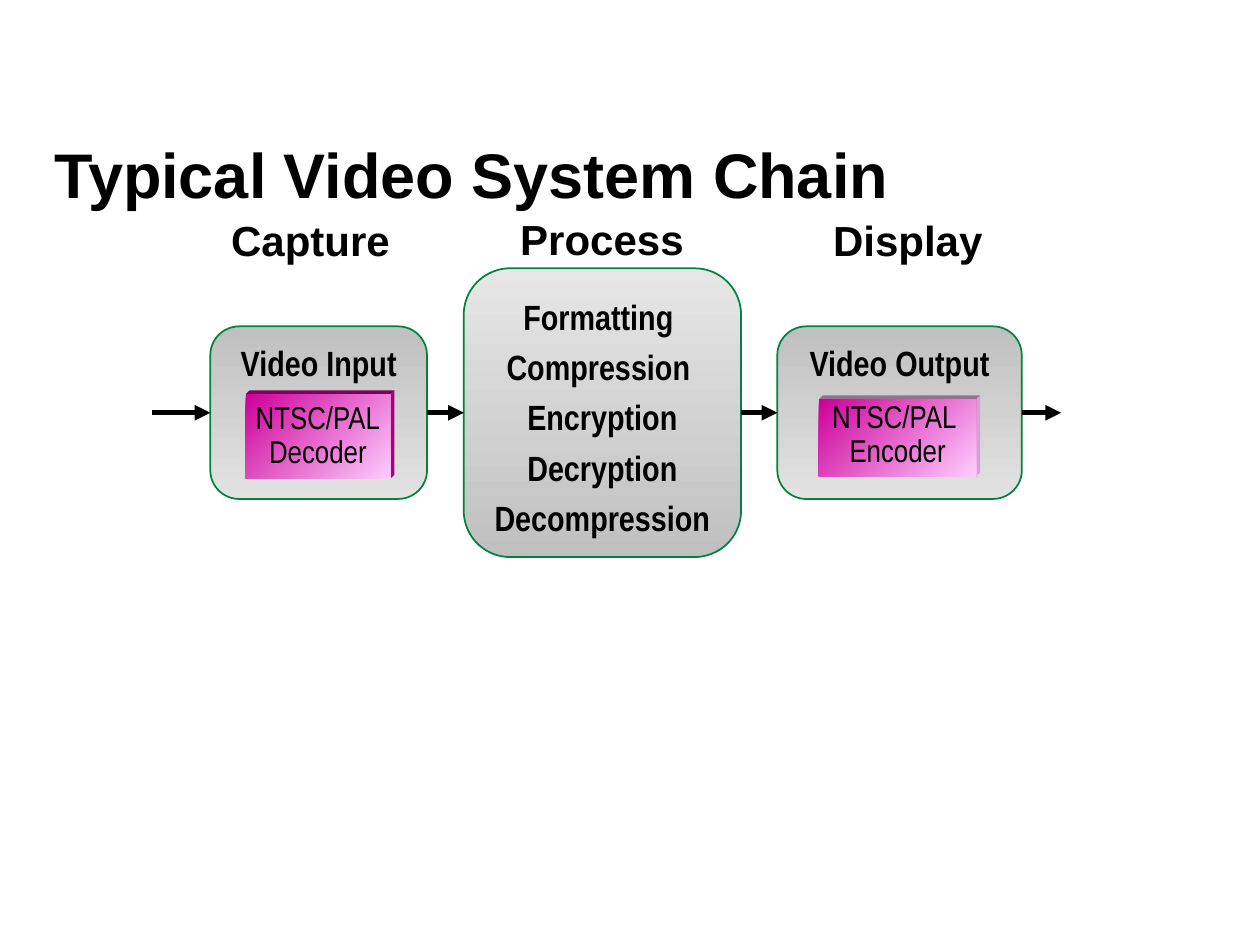
from lxml import etree
from pptx import Presentation
from pptx import util as u
from pptx.dml.color import RGBColor
from pptx.enum import shapes, text
from pptx.oxml.ns import qn

TITLE = "Typical Video System Chain"
HEADINGS = [
    ("Display", 14.81, 4.44, 6.98, 0.91, 0.9),
    ("Capture", 3.63, 4.44, 5.26, 0.91, 0.9),
    ("Process", 9.25, 4.5, 5.77, 0.81, 0.8),
]
TOP, MIDDLE = text.MSO_ANCHOR.TOP, text.MSO_ANCHOR.MIDDLE
STAGES = [
    {"left": 4.24, "width": 4.37, "height": 3.48, "colors": ("C0C0C0", "E2E2E2"),
     "paragraphs": [["Video Input"]], "anchor": TOP, "spacing": 1.0},
    {"left": 9.35, "width": 5.59, "height": 5.82, "colors": ("E6E6E6", "C0C0C0"),
     "paragraphs": [["Formatting ", "Compression ", "Encryption"], ["Decryption", "Decompression"]],
     "anchor": MIDDLE, "spacing": 1.2},
    {"left": 15.67, "width": 4.93, "height": 3.48, "colors": ("C0C0C0", "E2E2E2"),
     "paragraphs": [["Video Output"]], "anchor": TOP, "spacing": 1.0},
]
CODECS = [
    {"box": (4.95, 7.95, 2.92, 1.7), "paragraphs": [["NTSC/PAL"], ["Decoder"]],
     "anchor": MIDDLE, "edges": ("7A005C", "A8007E")},
    {"box": (16.51, 8.05, 3.17, 1.55), "paragraphs": [["NTSC/PAL ", "Encoder"]],
     "anchor": TOP, "edges": ("96708C", "D0A4D0")},
]
CENTER_Y = 8.32
CHAIN_START, CHAIN_END = 3.07, 21.39
EDGE_DEPTH = 0.08


def color(value):
    return RGBColor.from_string(value)


def write(frame, paragraphs, size, font, bold, spacing, anchor, inset=None):
    frame.vertical_anchor = anchor
    if inset is not None:
        frame.margin_left = frame.margin_right = u.Cm(inset)
        frame.margin_top = frame.margin_bottom = u.Cm(inset)
    for index, lines in enumerate(paragraphs):
        paragraph = frame.add_paragraph() if index else frame.paragraphs[0]
        paragraph.alignment = text.PP_ALIGN.CENTER
        paragraph.line_spacing = spacing
        for number, line in enumerate(lines):
            if number:
                paragraph.add_line_break()
            style(paragraph.add_run(), line, size, font, bold)


def style(run, line, size, font, bold):
    run.text = line
    run.font.size = u.Pt(size)
    run.font.name = font
    run.font.bold = bold
    run.font.color.rgb = color("000000")


def add_box(slide, kind, box, colors, angle):
    shape = slide.shapes.add_shape(kind, *map(u.Cm, box))
    shape.shadow.inherit = False
    shape.fill.gradient()
    shape.fill.gradient_angle = angle
    for stop, value, position in zip(shape.fill.gradient_stops, colors, (0, 1)):
        stop.color.rgb = color(value)
        stop.position = position
    shape.line.fill.background()
    return shape


def add_stage(slide, stage):
    box = (stage["left"], CENTER_Y - stage["height"] / 2, stage["width"], stage["height"])
    shape = add_box(slide, shapes.MSO_SHAPE.ROUNDED_RECTANGLE, box, stage["colors"], 270)
    shape.adjustments[0] = 0.167
    shape.line.color.rgb = color("008241")
    shape.line.width = u.Pt(1)
    shape.text_frame.word_wrap = False
    write(shape.text_frame, stage["paragraphs"], 20, "Arial Narrow", True,
          stage["spacing"], stage["anchor"])
    return shape


def add_edge(slide, points, value):
    corners = [(u.Cm(x), u.Cm(y)) for x, y in points]
    builder = slide.shapes.build_freeform(*corners[0])
    builder.add_line_segments(corners[1:], close=True)
    edge = builder.convert_to_shape()
    edge.shadow.inherit = False
    edge.fill.solid()
    edge.fill.fore_color.rgb = color(value)
    edge.line.fill.background()


def add_codec(slide, codec):
    left, top, width, height = codec["box"]
    right, bottom, depth = left + width, top + height, EDGE_DEPTH
    top_edge, right_edge = codec["edges"]
    outer_corner = (right + depth, top - depth)
    add_edge(slide, [(left, top), (left + depth, top - depth), outer_corner, (right, top)], top_edge)
    add_edge(slide, [(right, top), outer_corner, (right + depth, bottom - depth), (right, bottom)], right_edge)
    shape = add_box(slide, shapes.MSO_SHAPE.RECTANGLE, codec["box"], ("CC0099", "FFCCFF"), 315)
    shape.text_frame.word_wrap = True
    write(shape.text_frame, codec["paragraphs"], 18, "Arial Narrow", False, 0.9, codec["anchor"], 0.03)


def add_arrow(slide, source, target):
    start = u.Cm(CHAIN_START) if source is None else source.left + source.width
    end = u.Cm(CHAIN_END) if target is None else target.left
    y = u.Cm(CENTER_Y)
    arrow = slide.shapes.add_connector(shapes.MSO_CONNECTOR.STRAIGHT, start, y, end, y)
    if source is not None:
        arrow.begin_connect(source, 3)
    if target is not None:
        arrow.end_connect(target, 1)
    arrow.line.width = u.Pt(3)
    arrow.line.color.rgb = color("000000")
    etree.SubElement(arrow.line._get_or_add_ln(), qn("a:tailEnd"), type="triangle")
    etree.SubElement(arrow._element.spPr, qn("a:effectLst"))


def main():
    presentation = Presentation()
    presentation.slide_width, presentation.slide_height = u.Cm(25.4), u.Cm(19.05)
    slide = presentation.slides.add_slide(presentation.slide_layouts[5])

    title = slide.shapes.title
    title.left, title.top, title.width, title.height = map(u.Cm, (0.84, 1.9, 24.13, 3.18))
    title.text_frame.vertical_anchor = MIDDLE
    paragraph = title.text_frame.paragraphs[0]
    paragraph.alignment = text.PP_ALIGN.LEFT
    style(paragraph.add_run(), TITLE, 36, "Arial", True)

    for heading, left, top, width, height, spacing in HEADINGS:
        box = slide.shapes.add_textbox(*map(u.Cm, (left, top, width, height)))
        box.text_frame.word_wrap = True
        write(box.text_frame, [[heading]], 24, "Arial", True, spacing, MIDDLE, 0)

    chain = [add_stage(slide, stage) for stage in STAGES]
    for codec in CODECS:
        add_codec(slide, codec)
    for source, target in zip([None, *chain], [*chain, None]):
        add_arrow(slide, source, target)

    presentation.save("out.pptx")


if __name__ == "__main__":
    main()
